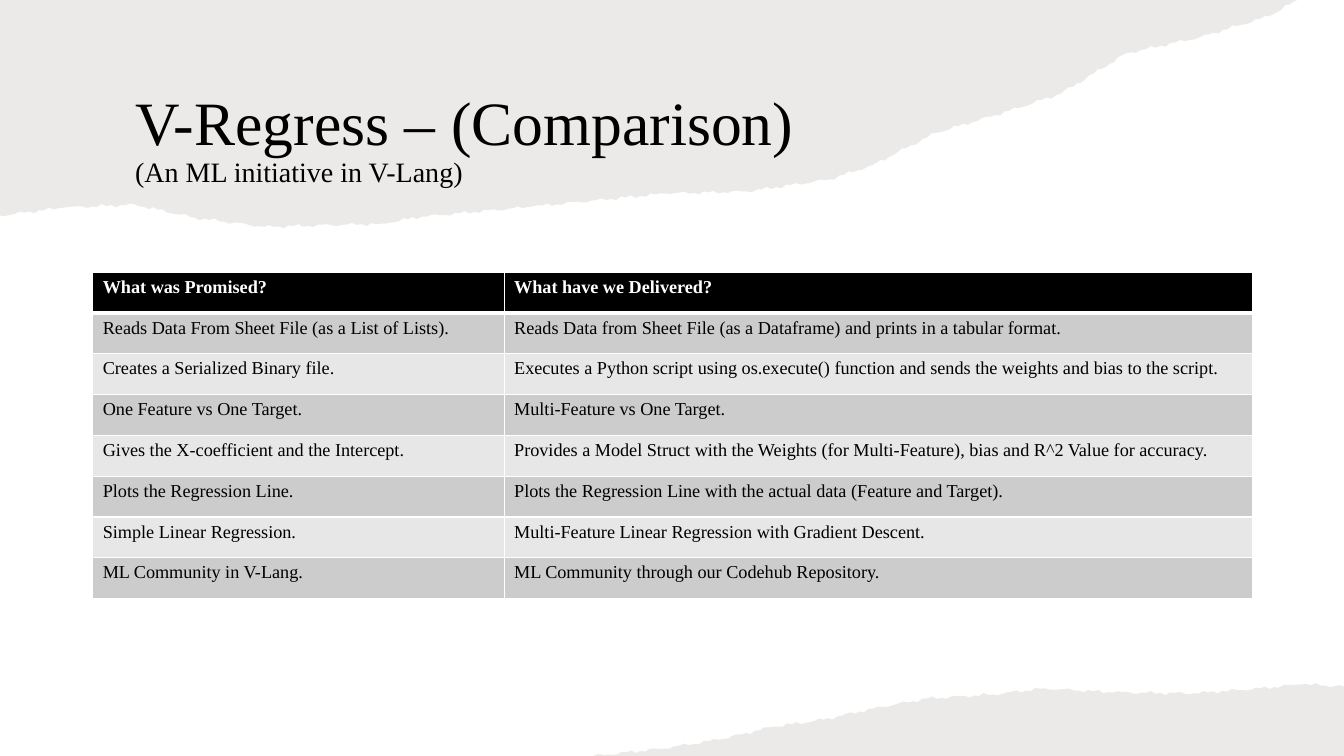
"""Builds the V-Regress comparison slide."""
from dataclasses import dataclass
from itertools import pairwise
from math import ceil, hypot, sin

from lxml import etree
from pptx import Presentation, util as u
from pptx.dml import color
from pptx.enum import text
from pptx.oxml import ns

WIDE, HIGH = 13.33, 7.5


@dataclass(frozen=True)
class Theme:
    """Colours, font, type sizes and line widths."""
    font: str = "Times New Roman"
    ink: str = "000000"
    pale: str = "FFFFFF"
    paper: str = "82766A"
    alpha: int = 15
    bands: tuple = ("E7E7E7", "CCCCCC")
    head: int = 44
    sub: int = 20
    body: int = 13
    rule: int = 1
    thick: int = 3
    step: float = 0.05
    rough: float = 0.01


TITLE = ("V-Regress – (Comparison)", "(An ML initiative in V-Lang)")
ROWS = [
    ("What was Promised?", "What have we Delivered?"),
    ("Reads Data From Sheet File (as a List of Lists).",
     "Reads Data from Sheet File (as a Dataframe) and prints in a tabular format."),
    ("Creates a Serialized Binary file.",
     "Executes a Python script using os.execute() function and sends the weights and bias to the script."),
    ("One Feature vs One Target.", "Multi-Feature vs One Target."),
    ("Gives the X-coefficient and the Intercept.",
     "Provides a Model Struct with the Weights (for Multi-Feature), bias and R^2 Value for accuracy."),
    ("Plots the Regression Line.",
     "Plots the Regression Line with the actual data (Feature and Target)."),
    ("Simple Linear Regression.",
     "Multi-Feature Linear Regression with Gradient Descent."),
    ("ML Community in V-Lang.", "ML Community through our Codehub Repository."),
]
UPPER = [(12.87, 0), (12.59, 0.16), (11.9, 0.37), (11.17, 0.53), (10.52, 0.93),
         (10.01, 1.1), (9.28, 1.32), (8.65, 1.64), (8.23, 1.78), (7.41, 1.9),
         (6.6, 1.92), (5.28, 2.05), (4.18, 2.15), (3.78, 2.22), (2.62, 2.25),
         (1.93, 2.16), (1.34, 2.03), (0.63, 2.06), (0, 2.14)]
LOWER = [(5.89, 7.5), (6.54, 7.43), (7.13, 7.34), (7.67, 7.21), (8.17, 7.14),
         (8.66, 7.03), (9.2, 6.93), (9.85, 6.89), (10.36, 6.83), (11.04, 6.87),
         (11.84, 6.88), (12.5, 6.83), (12.91, 6.79), (13.33, 6.81)]


class Deck:
    """Holds the theme and the current slide."""

    def __init__(self, theme):
        """Start a wide deck with one title-only slide."""
        self.theme = theme
        self.prs = Presentation()
        self.prs.slide_width, self.prs.slide_height = u.Inches(WIDE), u.Inches(HIGH)
        self.slide = self.prs.slides.add_slide(self.prs.slide_layouts[5])

    def paint(self, fill, tint):
        """Give a fill one solid colour."""
        fill.solid()
        fill.fore_color.rgb = color.RGBColor.from_string(tint)

    def style(self, run, size, tint, bold=False):
        """Format one run."""
        font = run.font
        font.name, font.size, font.bold = self.theme.font, u.Pt(size), bold
        self.paint(font.fill, tint)

    def title(self, box, lines):
        """Place the title with its smaller second line."""
        head = self.slide.shapes.title
        head.left, head.top, head.width, head.height = map(u.Inches, box)
        frame = head.text_frame
        frame.text = "\v".join(lines)
        frame.word_wrap = True
        frame.auto_size = text.MSO_AUTO_SIZE.NONE
        frame.vertical_anchor = text.MSO_ANCHOR.MIDDLE
        para = frame.paragraphs[0]
        para.alignment, para.line_spacing = text.PP_ALIGN.LEFT, 0.9
        for run, size in zip(para.runs, (self.theme.head, self.theme.sub)):
            self.style(run, size, self.theme.ink)

    def ragged(self, edge):
        """Roughen an edge with small waves between its bends."""
        points = [edge[0]]
        for (x, y), (right, down) in pairwise(edge):
            count = ceil(hypot(right - x, down - y) / self.theme.step)
            for k in range(1, count):
                across = x + (right - x) * k / count
                wave = sin(23 * across) + sin(61 * across)
                level = y + (down - y) * k / count
                points.append((across, level + self.theme.rough * wave))
            points.append((right, down))
        return points

    def tear(self, edge, corner):
        """Draw translucent torn paper behind the title, from edge to corner."""
        outline = [tuple(map(u.Inches, point))
                   for point in [corner, *self.ragged(edge)]]
        pen = self.slide.shapes.build_freeform(*outline[0])
        pen.add_line_segments(outline[1:], close=True)
        shape = pen.convert_to_shape()
        shape.shadow.inherit = False
        shape.line.fill.background()
        self.paint(shape.fill, self.theme.paper)
        tint = shape.element.spPr.find(".//" + ns.qn("a:srgbClr"))
        etree.SubElement(tint, ns.qn("a:alpha"), val=str(self.theme.alpha * 1000))
        self.slide.shapes.title.element.addprevious(shape.element)

    def border(self, cell, side, width):
        """Draw one border of a cell."""
        line = etree.SubElement(cell._tc.get_or_add_tcPr(), ns.qn("a:ln" + side),
                                w=str(u.Pt(width)))
        fill = etree.SubElement(line, ns.qn("a:solidFill"))
        etree.SubElement(fill, ns.qn("a:srgbClr"), val=self.theme.pale)

    def table(self, box, widths, rows):
        """Add a banded table with a dark header row."""
        look = self.theme
        grid = self.slide.shapes.add_table(
            len(rows), len(widths), *map(u.Inches, box)).table
        for col, width in zip(grid.columns, widths):
            col.width = u.Inches(width)
        for i, row in enumerate(rows):
            grid.rows[i].height = u.Inches(box[3] / len(rows))
            first = i == 0
            ink = look.pale if first else look.ink
            back = look.ink if first else look.bands[i % 2]
            for j, words in enumerate(row):
                cell = grid.cell(i, j)
                cell.text_frame.text = words
                self.style(cell.text_frame.paragraphs[0].runs[0],
                           look.body, ink, first)
                for side in "LRTB":
                    heavy = (i, side) in ((0, "B"), (1, "T"))
                    self.border(cell, side, look.thick if heavy else look.rule)
                self.paint(cell.fill, back)


def main():
    """Build and save the slide."""
    deck = Deck(Theme())
    deck.tear(UPPER, corner=(0, 0))
    deck.tear(LOWER, corner=(WIDE, HIGH))
    deck.title((1.24, 0.67, 7.73, 1.45), TITLE)
    deck.table((0.92, 2.7, 11.5, 3.24), (4.08, 7.42), ROWS)
    deck.prs.save("out.pptx")


if __name__ == "__main__":
    main()
